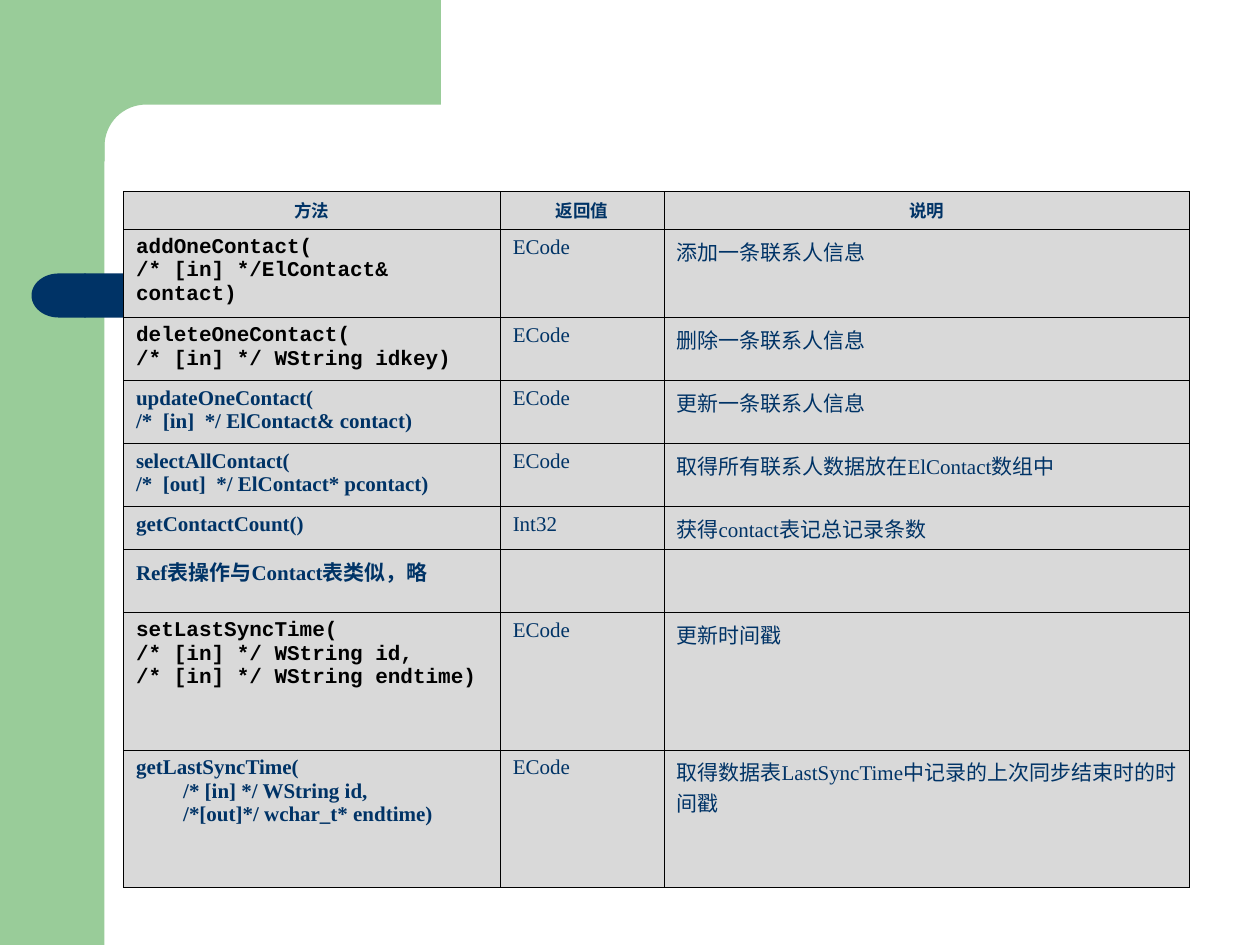
from math import cos, pi, sin

from lxml.etree import SubElement
from pptx import Presentation
from pptx.dml.color import RGBColor
from pptx.enum.shapes import MSO_SHAPE as Shape
from pptx.enum.text import PP_ALIGN as Align
from pptx.oxml import parse_xml
from pptx.oxml.ns import nsdecls, qn
from pptx.util import Inches, Pt

GREEN, NAVY, GREY, BLACK = "99CC99", "003366", "D9D9D9", "000000"
SERIF, MONO = "Times New Roman", "Courier New"

HEADERS = ["方法", "返回值", "说明"]
COLUMNS = [2.99, 1.3, 4.17]
METHODS = [
    (0.7, MONO, "addOneContact(\n/* [in] */ElContact& contact)", "ECode", "添加一条联系人信息"),
    (0.5, MONO, "deleteOneContact(\n/* [in] */ WString idkey)", "ECode", "删除一条联系人信息"),
    (0.5, SERIF, "updateOneContact(\n/*  [in]  */ ElContact& contact)", "ECode", "更新一条联系人信息"),
    (0.5, SERIF, "selectAllContact(\n/*  [out]  */ ElContact* pcontact)", "ECode",
     "取得所有联系人数据放在ElContact数组中"),
    (0.34, SERIF, "getContactCount()", "Int32", "获得contact表记总记录条数"),
    (0.5, SERIF, "Ref表操作与Contact表类似，略", "", ""),
    (1.09, MONO, "setLastSyncTime(\n/* [in] */ WString id,\n/* [in] */ WString endtime)",
     "ECode", "更新时间戳"),
    (1.09, SERIF,
     "getLastSyncTime(\n         /* [in] */ WString id,\n         /*[out]*/ wchar_t* endtime)",
     "ECode", "取得数据表LastSyncTime中记录的上次同步结束时的时间戳"),
]
HEADER_HEIGHT = 0.3


def paint(sp, color):
    sp.shadow.inherit = False
    sp.fill.solid()
    sp.fill.fore_color.rgb = RGBColor.from_string(color)
    sp.line.fill.background()


def add_block(s, kind, box, color):
    sp = s.shapes.add_shape(kind, *map(Inches, box))
    paint(sp, color)
    return sp


def add_corner(s):
    radius, center, steps = 0.33, 1.16, 16
    angles = [pi / 2 * i / steps for i in range(steps + 1)]
    arc = [(center - radius * sin(a), center - radius * cos(a)) for a in angles]
    points = [(3.5, 0), (3.5, 0.83), *arc, (0.83, 1.28), (0.5, 1.28)]
    builder = s.shapes.build_freeform(Inches(0.5), 0)
    builder.add_line_segments([(Inches(x), Inches(y)) for x, y in points])
    paint(builder.convert_to_shape(), GREEN)


def add_borders(cell):
    tc_pr = cell._tc.get_or_add_tcPr()
    for i, side in enumerate(["lnL", "lnR", "lnT", "lnB"]):
        ln = parse_xml(f'<a:{side} {nsdecls("a")} w="{Pt(0.45)}"/>')
        fill = SubElement(ln, qn("a:solidFill"))
        SubElement(fill, qn("a:srgbClr"), val=BLACK)
        tc_pr.insert(i, ln)


def fill_cell(cell, text, size=12, font=SERIF, bold=False, align=Align.LEFT):
    cell.fill.solid()
    cell.fill.fore_color.rgb = RGBColor.from_string(GREY)
    add_borders(cell)
    cell.text_frame.text = text
    for p in cell.text_frame.paragraphs:
        p.alignment = align
        p.font.name, p.font.size, p.font.bold = font, Pt(size), bold
        p.font.color.rgb = RGBColor.from_string(BLACK if font == MONO else NAVY)


def add_methods_table(s):
    heights = [HEADER_HEIGHT] + [m[0] for m in METHODS]
    box = (0.98, 1.52, sum(COLUMNS), sum(heights))
    table = s.shapes.add_table(len(heights), len(COLUMNS), *map(Inches, box)).table
    table.first_row = table.horz_banding = False
    for column, width in zip(table.columns, COLUMNS):
        column.width = Inches(width)
    for row, height in zip(table.rows, heights):
        row.height = Inches(height)
    for c, header in enumerate(HEADERS):
        fill_cell(table.cell(0, c), header, size=10, bold=True, align=Align.CENTER)
    for r, (_, font, method, result, note) in enumerate(METHODS, 1):
        fill_cell(table.cell(r, 0), method, font=font, bold=True)
        fill_cell(table.cell(r, 1), result)
        fill_cell(table.cell(r, 2), note)


def main():
    """Build the slide listing the contact database methods."""
    prs = Presentation()
    prs.slide_width, prs.slide_height = Inches(10), Inches(7.5)
    s = prs.slides.add_slide(prs.slide_layouts[6])
    add_block(s, Shape.RECTANGLE, (0, 0, 0.83, 7.5), GREEN)
    add_corner(s)
    bar = add_block(s, Shape.ROUNDED_RECTANGLE, (0.67, 2.17, 7.67, 0.35), NAVY)
    bar.adjustments[0] = 0
    cap = add_block(s, Shape.FLOWCHART_DELAY, (0.25, 2.17, 0.43, 0.35), NAVY)
    cap.rotation = 180
    add_methods_table(s)
    prs.save("out.pptx")


if __name__ == "__main__":
    main()
